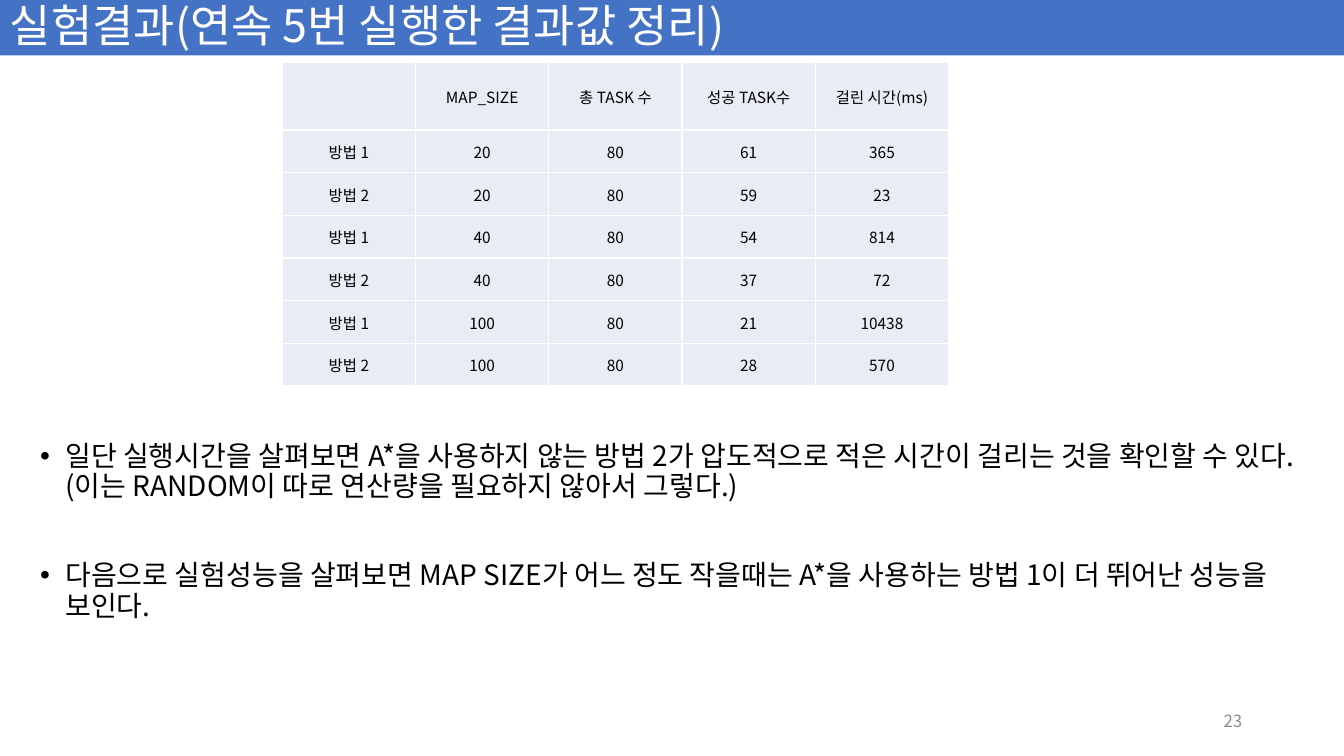
import pptx
import pptx.dml.color
import pptx.enum.shapes
import pptx.enum.text
import pptx.oxml.ns
import pptx.util
from lxml import etree

FONT = "Noto Sans CJK KR"
COLORS = {"band": "4472C4", "cell": "E9EBF5", "white": "FFFFFF", "black": "000000", "gray": "8C8C8C"}
WIDTH, HEIGHT = 13.33, 7.5

ALIGN = pptx.enum.text.PP_ALIGN
MIDDLE = pptx.enum.text.MSO_ANCHOR.MIDDLE
qn = pptx.oxml.ns.qn

TITLE = "실험결과(연속 5번 실행한 결과값 정리)"
RESULTS = [
    ["", "MAP_SIZE", "총 TASK 수", "성공 TASK수", "걸린 시간(ms)"],
    ["방법 1", "20", "80", "61", "365"],
    ["방법 2", "20", "80", "59", "23"],
    ["방법 1", "40", "80", "54", "814"],
    ["방법 2", "40", "80", "37", "72"],
    ["방법 1", "100", "80", "21", "10438"],
    ["방법 2", "100", "80", "28", "570"],
]
FINDINGS = [
    "일단 실행시간을 살펴보면 A*을 사용하지 않는 방법 2가 압도적으로 적은 시간이 걸리는 것을 "
    "확인할 수 있다.(이는 RANDOM이 따로 연산량을 필요하지 않아서 그렇다.)",
    "다음으로 실험성능을 살펴보면 MAP SIZE가 어느 정도 작을때는 A*을 사용하는 방법 1이 더 뛰어난 "
    "성능을 보인다.",
]


def rgb(name):
    return pptx.dml.color.RGBColor.from_string(COLORS[name])


def inches(*lengths):
    return [pptx.util.Inches(length) for length in lengths]


def write(paragraph, text, size, color="black", align=ALIGN.LEFT, spacing=None, before=0):
    paragraph.alignment = align
    paragraph.space_before = pptx.util.Pt(before)
    if spacing:
        paragraph.line_spacing = spacing
    run = paragraph.add_run()
    run.text = text
    run.font.size = pptx.util.Pt(size)
    run.font.name = FONT
    run.font.color.rgb = rgb(color)
    # East Asian text takes its own typeface
    etree.SubElement(run.font._element, qn("a:ea"), typeface=FONT)


def add_bullet(paragraph, indent):
    properties = paragraph._p.get_or_add_pPr()
    properties.set("marL", str(pptx.util.Inches(indent)))
    properties.set("indent", str(-pptx.util.Inches(indent)))
    etree.SubElement(properties, qn("a:buFont"), typeface="Arial")
    etree.SubElement(properties, qn("a:buChar"), char="•")


def set_borders(cell, color, width):
    properties = cell._tc.get_or_add_tcPr()
    for position, side in enumerate(("a:lnL", "a:lnR", "a:lnT", "a:lnB")):
        line = etree.Element(qn(side), w=str(pptx.util.Pt(width)))
        fill = etree.SubElement(line, qn("a:solidFill"))
        etree.SubElement(fill, qn("a:srgbClr"), val=COLORS[color])
        properties.insert(position, line)


def add_title_band(slide, box):
    band = slide.shapes.add_shape(pptx.enum.shapes.MSO_SHAPE.RECTANGLE, *inches(*box))
    band.shadow.inherit = False
    band.fill.solid()
    band.fill.fore_color.rgb = rgb("band")
    band.line.fill.background()
    band.text_frame.word_wrap = True
    band.text_frame.vertical_anchor = MIDDLE
    write(band.text_frame.paragraphs[0], TITLE, 32, color="white", spacing=0.9)


def add_results_table(slide, box, header_height):
    row_count, column_count = len(RESULTS), len(RESULTS[0])
    table = slide.shapes.add_table(row_count, column_count, *inches(*box)).table
    for column in table.columns:
        column.width = pptx.util.Inches(box[2] / column_count)
    row_height = (box[3] - header_height) / (row_count - 1)
    for index, values in enumerate(RESULTS):
        table.rows[index].height = pptx.util.Inches(row_height if index else header_height)
        for cell, value in zip(table.rows[index].cells, values):
            cell.fill.solid()
            cell.fill.fore_color.rgb = rgb("cell")
            set_borders(cell, "white", 1)
            cell.vertical_anchor = MIDDLE
            cell.margin_left = cell.margin_right = cell.margin_top = pptx.util.Inches(0.01)
            cell.margin_bottom = 0
            if value:
                write(cell.text_frame.paragraphs[0], value, 11, align=ALIGN.CENTER)


def add_findings(slide, box):
    frame = slide.shapes.add_textbox(*inches(*box)).text_frame
    frame.word_wrap = True
    for index, finding in enumerate(FINDINGS):
        paragraph = frame.add_paragraph() if index else frame.paragraphs[0]
        write(paragraph, finding, 20, spacing=0.9, before=42 if index else 10)
        add_bullet(paragraph, 0.25)


def add_page_number(slide, box):
    frame = slide.shapes.add_textbox(*inches(*box)).text_frame
    frame.word_wrap = True
    frame.vertical_anchor = MIDDLE
    write(frame.paragraphs[0], "23", 12, color="gray", align=ALIGN.RIGHT)


def main():
    presentation = pptx.Presentation()
    presentation.slide_width, presentation.slide_height = inches(WIDTH, HEIGHT)
    slide = presentation.slides.add_slide(presentation.slide_layouts[6])
    add_title_band(slide, (0, 0, WIDTH, 0.55))
    add_results_table(slide, (2.8, 0.62, 6.61, 3.21), header_height=0.67)
    add_findings(slide, (0.3, 4.34, WIDTH - 0.6, 2.81))
    add_page_number(slide, (9.42, 6.95, 3, 0.4))
    presentation.save("out.pptx")


if __name__ == "__main__":
    main()
